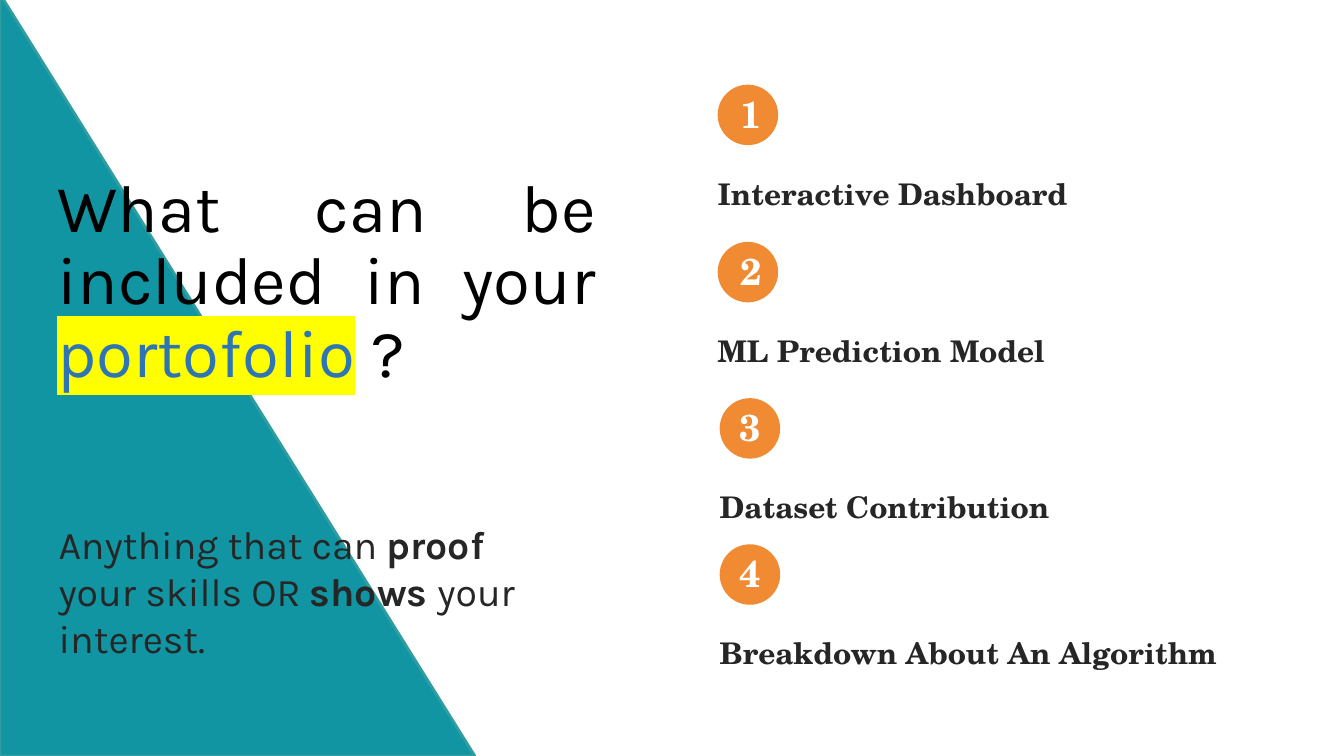
import pptx
import pptx.dml.color
import pptx.enum.shapes
import pptx.enum.text
import pptx.oxml
import pptx.oxml.ns
import pptx.util
from dataclasses import dataclass
from typing import Optional

SLIDE_WIDTH = pptx.util.Inches(13.33)
SLIDE_HEIGHT = pptx.util.Inches(7.5)
TEAL, TEAL_EDGE, ORANGE = "1195A3", "329DA0", "F08B33"
BLACK, CHARCOAL, WHITE = "000000", "262626", "FFFFFF"
BLUE, YELLOW = "2E75B5", "FFFF00"
SANS, SERIF = "Karla", "TeX Gyre Schola"


@dataclass(frozen=True)
class Area:
    """Percentages of the slide's width and height."""
    left: float
    top: float
    width: float
    height: float

    def lengths(self) -> tuple[int, int, int, int]:
        return (
            round(SLIDE_WIDTH * self.left / 100),
            round(SLIDE_HEIGHT * self.top / 100),
            round(SLIDE_WIDTH * self.width / 100),
            round(SLIDE_HEIGHT * self.height / 100),
        )


@dataclass(frozen=True)
class Step:
    caption: str
    left: float
    top: float
    number_indent: float


STEPS = [
    Step("Interactive Dashboard", 53.4, 11.2, 0.24),
    Step("ML Prediction Model", 53.4, 32, 0.24),
    Step("Dataset Contribution", 53.55, 52.67, 0.21),
    Step("Breakdown About An Algorithm", 53.55, 72, 0.21),
]


def colour(value: str) -> pptx.dml.color.RGBColor:
    return pptx.dml.color.RGBColor.from_string(value)


def add_filled_shape(page, kind, area: Area, fill: str, edge: Optional[str] = None):
    shape = page.shapes.add_shape(kind, *area.lengths())
    shape.shadow.inherit = False
    shape.fill.solid()
    shape.fill.fore_color.rgb = colour(fill)
    if edge:
        shape.line.color.rgb = colour(edge)
        shape.line.width = pptx.util.Pt(2)
    else:
        shape.line.fill.background()
    return shape


def add_text_frame(page, area: Area):
    frame = page.shapes.add_textbox(*area.lengths()).text_frame
    frame.word_wrap = True
    frame.auto_size = pptx.enum.text.MSO_AUTO_SIZE.SHAPE_TO_FIT_TEXT
    frame.margin_left = frame.margin_right = frame.margin_bottom = 0
    frame.margin_top = pptx.util.Inches(0.01)
    return frame


def indent(para, inches: float) -> None:
    para._p.get_or_add_pPr().set("marL", str(pptx.util.Inches(inches)))


def write(para, text: str, *, size: float, font: str, ink: str,
          bold: bool = False, highlight: Optional[str] = None) -> None:
    span = para.add_run()
    span.text = text
    span.font.size = pptx.util.Pt(size)
    span.font.bold = bold
    span.font.color.rgb = colour(ink)
    span.font.name = font
    if highlight:
        marker = pptx.oxml.parse_xml(
            f'<a:highlight {pptx.oxml.ns.nsdecls("a")}>'
            f'<a:srgbClr val="{highlight}"/></a:highlight>'
        )
        span._r.rPr.find(pptx.oxml.ns.qn("a:solidFill")).addnext(marker)


def add_title(page) -> None:
    para = add_text_frame(page, Area(4.28, 22.93, 40.06, 29.2)).paragraphs[0]
    para.alignment = pptx.enum.text.PP_ALIGN.JUSTIFY
    para.line_spacing = 0.9
    write(para, "What can be included in your ", size=48, font=SANS, ink=BLACK)
    write(para, "portofolio", size=48, font=SANS, ink=BLUE, highlight=YELLOW)
    write(para, " ?", size=48, font=SANS, ink=BLACK)


def add_summary(page) -> None:
    para = add_text_frame(page, Area(4.28, 68.67, 35.48, 18.93)).paragraphs[0]
    indent(para, 0.01)
    for text, bold in [
        ("Anything that can ", False),
        ("proof ", True),
        ("your skills OR ", False),
        ("shows ", True),
        ("your interest.", False),
    ]:
        write(para, text, size=28, font=SANS, ink=CHARCOAL, bold=bold)


def add_step(page, number: int, step: Step) -> None:
    add_filled_shape(page, pptx.enum.shapes.MSO_SHAPE.OVAL,
                     Area(step.left, step.top, 4.5, 8), ORANGE)
    frame = add_text_frame(page, Area(step.left - 0.07, step.top + 0.67, 38.03, 16.13))
    number_para = frame.paragraphs[0]
    indent(number_para, step.number_indent)
    write(number_para, str(number), size=26.7, font=SERIF, ink=WHITE, bold=True)
    caption_para = frame.add_paragraph()
    indent(caption_para, 0.01)
    caption_para.space_before = pptx.util.Pt(28.4)
    write(caption_para, step.caption, size=21.3, font=SERIF, ink=CHARCOAL, bold=True)


def main() -> None:
    deck = pptx.Presentation()
    deck.slide_width, deck.slide_height = SLIDE_WIDTH, SLIDE_HEIGHT
    page = deck.slides.add_slide(deck.slide_layouts[6])
    add_filled_shape(page, pptx.enum.shapes.MSO_SHAPE.RIGHT_TRIANGLE,
                     Area(0, -0.8, 35.33, 100.8), TEAL, TEAL_EDGE)
    add_title(page)
    add_summary(page)
    for number, step in enumerate(STEPS, start=1):
        add_step(page, number, step)
    deck.save("out.pptx")


if __name__ == "__main__":
    main()
